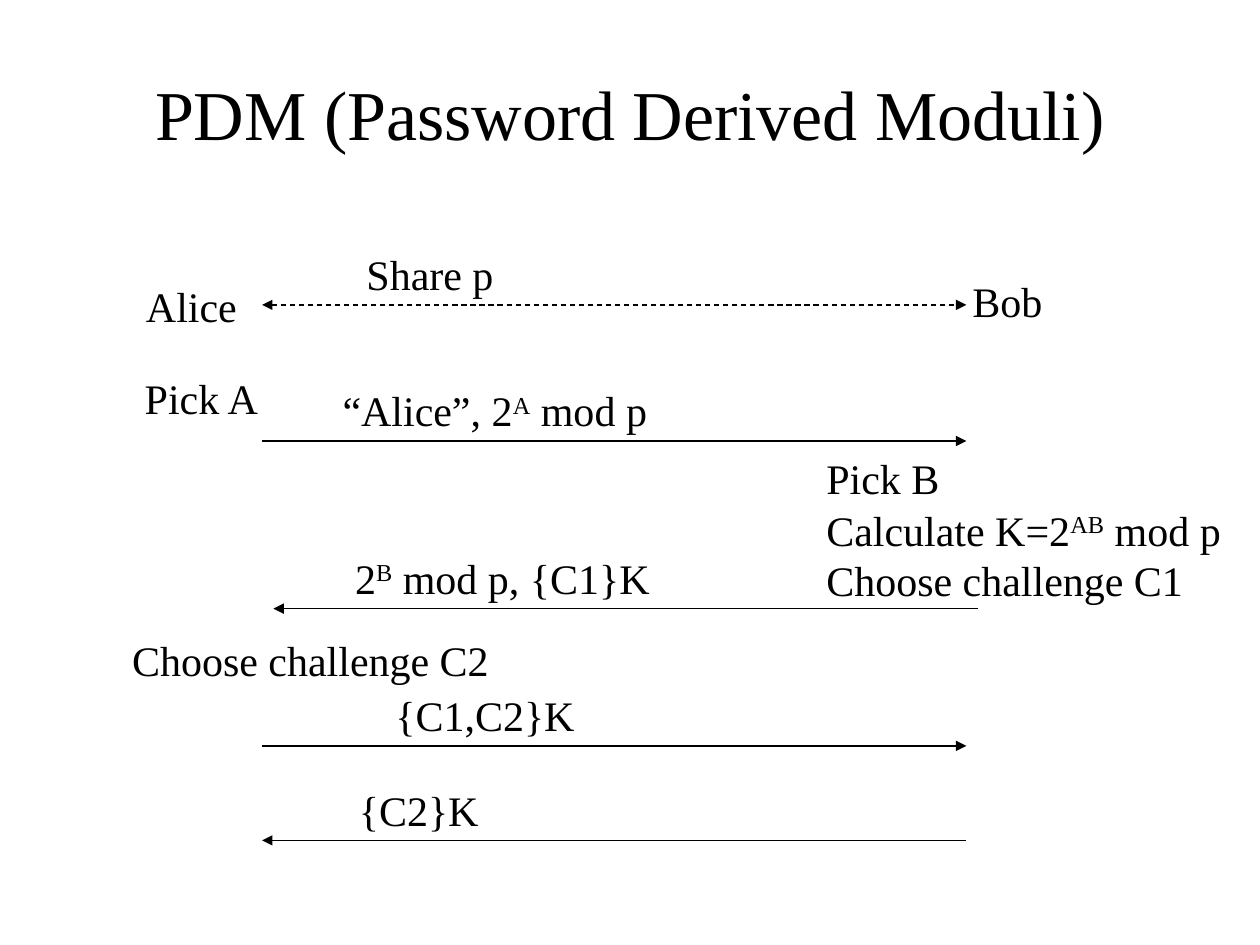
from lxml.etree import SubElement as Sub
from pptx import Presentation
from pptx.dml.color import RGBColor as RGB
from pptx.enum.dml import MSO_LINE_DASH_STYLE as Dash
from pptx.enum.shapes import MSO_CONNECTOR as Conn, MSO_SHAPE as Shape
from pptx.enum.text import MSO_ANCHOR as Anchor, MSO_AUTO_SIZE as Auto
from pptx.enum.text import PP_ALIGN as Align
from pptx.oxml.ns import qn
from pptx.util import Inches, Pt

# Content: a line is a list of runs; a run in a tuple is superscript
TITLE = "PDM (Password Derived Moduli)"
NOTES = [  # left, top, width, lines
    (1.06, 2.21, 0.92, [["Alice"]]),
    (7.62, 2.17, 0.76, [["Bob"]]),
    (1.05, 2.94, 1.11, [["Pick A"]]),
    (6.46, 3.58, 3.33, [["Pick B"],
                        ["Calculate K=2", ("AB",), " mod p"],
                        ["Choose challenge C1"]]),
    (0.95, 5.02, 3.03, [["Choose challenge C2"]]),
]
STEPS = [  # arrow height, arrow shift, heads, label left, label width, runs
    (2.42, 0, "both", 2.81, 1.21, ["Share p"]),
    (3.5, 0, "right", 2.62, 2.62, ["“Alice”, 2", ("A",), " mod p"]),
    (4.83, 0.09, "left", 2.72, 2.54, ["2", ("B",), " mod p, {C1}K"]),
    (5.92, 0, "right", 3.04, 1.62, ["{C1,C2}K"]),
    (6.67, 0, "left", 2.75, 1.15, ["{C2}K"]),
]
COLORS = {"ink": "000000", "page": "FFFFFF"}
FONT = "Times New Roman"
WIDE, HIGH = 10, 7.5
ALICE, BOB = 2.08, 7.67  # ends of the arrows
RISE, ROW = 0.46, 0.4    # label above its arrow, height of a text line
INK = RGB.from_string(COLORS["ink"])

prs = Presentation()
prs.slide_width, prs.slide_height = Inches(WIDE), Inches(HIGH)
slide = prs.slides.add_slide(prs.slide_layouts[6])
slide.background.fill.solid()
slide.background.fill.fore_color.rgb = RGB.from_string(COLORS["page"])


def add_lines(frame, lines, size, align):
    for i, runs in enumerate(lines):
        para = frame.add_paragraph() if i else frame.paragraphs[0]
        para.line_spacing = 1.0 if i else 0.93
        para.alignment = align
        for part in runs:
            run = para.add_run()
            run.text = part if isinstance(part, str) else part[0]
            font = run.font
            font.name, font.size, font.color.rgb = FONT, Pt(size), INK
            if isinstance(part, tuple):
                run._r.get_or_add_rPr().set("baseline", "30000")


def add_label(left, top, width, lines):
    area = (left, top, width, 0.08 + ROW * len(lines))
    box = slide.shapes.add_shape(Shape.ROUNDED_RECTANGLE, *map(Inches, area))
    box.adjustments[0] = 0
    box.shadow.inherit = False
    box.fill.background()
    box.line.fill.background()
    frame = box.text_frame
    frame.word_wrap, frame.auto_size = False, Auto.SHAPE_TO_FIT_TEXT
    frame.vertical_anchor = Anchor.TOP
    add_lines(frame, lines, 24, Align.LEFT)


def add_arrow(y, shift, heads):
    ends = (ALICE + shift, y, BOB + shift, y)
    line = slide.shapes.add_connector(Conn.STRAIGHT, *map(Inches, ends))
    line.line.color.rgb, line.line.width = INK, Pt(0.75)
    if heads == "both":
        line.line.dash_style = Dash.DASH
    for tag, side in (("a:headEnd", "left"), ("a:tailEnd", "right")):
        if heads in (side, "both"):
            Sub(line.line._get_or_add_ln(), qn(tag), type="triangle")
    Sub(line._element.spPr, qn("a:effectLst"))


# Title
head = slide.shapes.add_textbox(*map(Inches, (0.5, 0.3, WIDE - 1, 1.25)))
head.text_frame.word_wrap = True
head.text_frame.vertical_anchor = Anchor.MIDDLE
add_lines(head.text_frame, [[TITLE]], 40, Align.CENTER)

# Parties and their own work
for note in NOTES:
    add_label(*note)

# Messages
for y, shift, heads, left, width, runs in STEPS:
    add_arrow(y, shift, heads)
    add_label(left, y - RISE, width, [runs])

prs.save("out.pptx")
